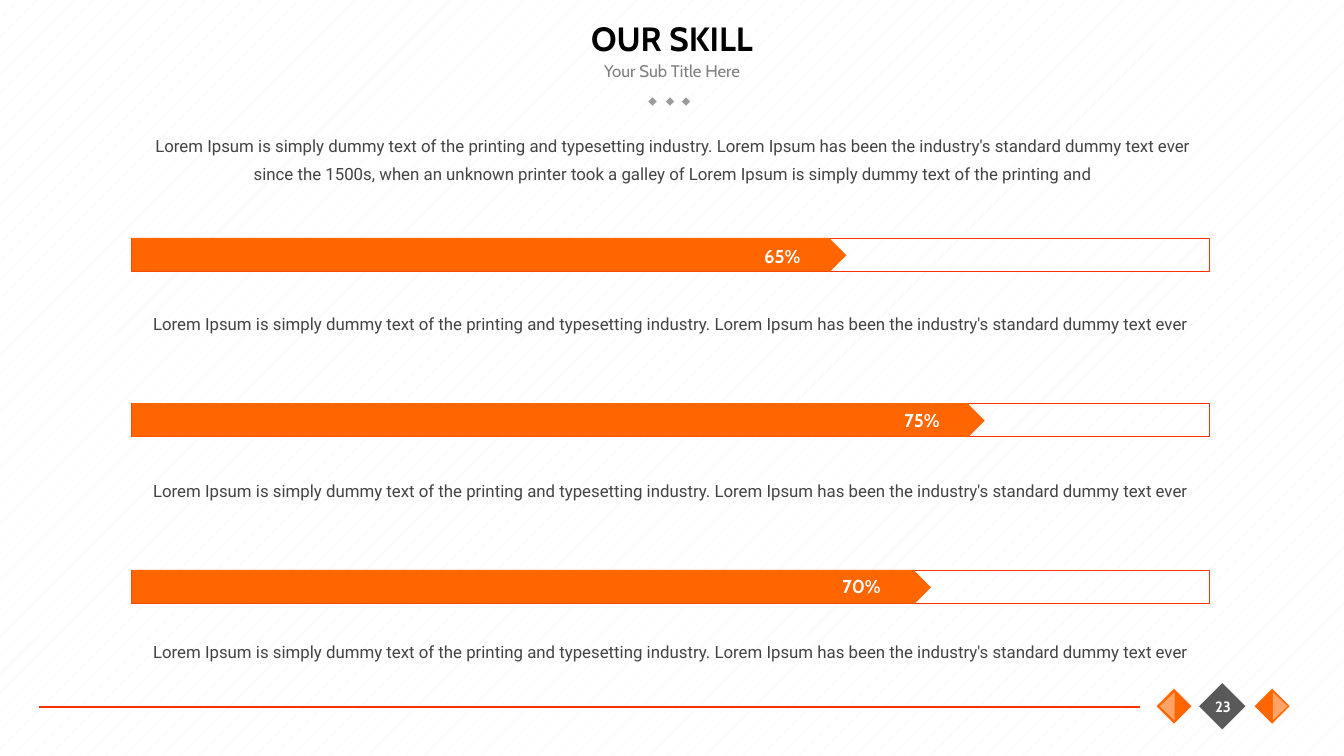
from dataclasses import dataclass

from lxml import etree
from pptx import Presentation
from pptx.dml.color import RGBColor
from pptx.enum.dml import MSO_PATTERN
from pptx.enum.shapes import MSO_CONNECTOR, MSO_SHAPE
from pptx.enum.text import MSO_ANCHOR, MSO_AUTO_SIZE, PP_ALIGN
from pptx.oxml.ns import qn
from pptx.util import Inches, Pt

RECTANGLE = MSO_SHAPE.RECTANGLE
RIGHT_TRIANGLE = MSO_SHAPE.RIGHT_TRIANGLE
TRIANGLE = MSO_SHAPE.FLOWCHART_EXTRACT
LEFT, CENTER = PP_ALIGN.LEFT, PP_ALIGN.CENTER
TOP, MIDDLE = MSO_ANCHOR.TOP, MSO_ANCHOR.MIDDLE


@dataclass(frozen=True)
class Theme:
    heading_font: str = "Cabin"
    body_font: str = "Roboto"
    title_size: float = 18
    body_size: float = 9
    percent_size: float = 10
    number_size: float = 8
    body_leading: float = 15
    hairline: float = 0.25
    rule_width: float = 0.75
    white: str = "FFFFFF"
    black: str = "000000"
    pattern: str = "F2F2F2"
    body: str = "434343"
    subtitle: str = "808080"
    dots: str = "9B9B9B"
    badge: str = "595959"
    orange: str = "FF6600"
    light_orange: str = "FFA366"
    outline: str = "FF3300"
    rule: str = "F93200"


THEME = Theme()
SLIDE_WIDTH = 10
SLIDE_HEIGHT = SLIDE_WIDTH * 9 / 16
SENTENCE = (
    "Lorem Ipsum is simply dummy text of the printing and typesetting industry. "
    "Lorem Ipsum has been the industry's standard dummy text ever"
)
INTRO = SENTENCE + (
    " since the 1500s, when an unknown printer took a galley of "
    "Lorem Ipsum is simply dummy text of the printing and"
)
# Percent label, bar top, filled width, label left, label top, caption top
SKILLS = [
    ("65%", 1.77, 5.2, 5.46, 1.77, 2.23),
    ("75%", 3.0, 6.23, 6.5, 2.99, 3.47),
    ("70%", 4.24, 5.83, 6.05, 4.23, 4.67),
]
BAR_LEFT, BAR_WIDTH, BAR_HEIGHT = 0.98, 8.02, 0.25
TIP_SIZE = 0.18
TEXT_LEFT, TEXT_WIDTH = 1.04, 7.92
FOOTER_Y = 5.26


def rgb(color):
    return RGBColor.from_string(color)


def add_text(slide, text, left, top, width, height, *, size, color,
             font=THEME.heading_font, bold=False, align=CENTER,
             anchor=TOP, leading=None, grow=False):
    box = slide.shapes.add_textbox(
        Inches(left), Inches(top), Inches(width), Inches(height))
    frame = box.text_frame
    frame.word_wrap = True
    frame.vertical_anchor = anchor
    if grow:
        frame.auto_size = MSO_AUTO_SIZE.SHAPE_TO_FIT_TEXT
    para = frame.paragraphs[0]
    para.alignment = align
    if leading:
        para.line_spacing = Pt(leading)
    span = para.add_run()
    span.text = text
    span.font.name = font
    span.font.size = Pt(size)
    span.font.bold = bold
    span.font.color.rgb = rgb(color)


def add_body(slide, text, top, height, align=LEFT):
    add_text(slide, text, TEXT_LEFT, top, TEXT_WIDTH, height,
             size=THEME.body_size, color=THEME.body, font=THEME.body_font,
             align=align, leading=THEME.body_leading, grow=True)


def add_block(slide, kind, left, top, width, height, *,
              fill=None, line=None, rotation=0):
    block = slide.shapes.add_shape(
        kind, Inches(left), Inches(top), Inches(width), Inches(height))
    block.shadow.inherit = False
    block.rotation = rotation
    if fill:
        block.fill.solid()
        block.fill.fore_color.rgb = rgb(fill)
    else:
        block.fill.background()
    if line:
        block.line.color.rgb = rgb(line)
        block.line.width = Pt(THEME.hairline)
    else:
        block.line.fill.background()


def add_diamond(slide, left, top, side, fill):
    add_block(slide, RECTANGLE, left, top, side, side,
              fill=fill, line=THEME.white, rotation=315)


def add_rule(slide, left, right, y):
    rule = slide.shapes.add_connector(
        MSO_CONNECTOR.STRAIGHT, Inches(left), Inches(y), Inches(right), Inches(y))
    rule.line.color.rgb = rgb(THEME.rule)
    rule.line.width = Pt(THEME.rule_width)
    etree.SubElement(rule.element.spPr, qn("a:effectLst"))


def add_header(slide):
    for left in (4.83, 4.96, 5.08):
        add_diamond(slide, left, 0.73, 0.05, THEME.dots)
    add_text(slide, "Your Sub Title Here", 3.75, 0.4, 2.5, 0.25,
             size=THEME.body_size, color=THEME.subtitle, anchor=MIDDLE)
    add_text(slide, "OUR SKILL", 0.75, 0, 8.5, 0.56, size=THEME.title_size,
             color=THEME.black, bold=True, anchor=MIDDLE)


def add_footer(slide):
    add_rule(slide, 0.29, 8.48, FOOTER_Y)
    add_diamond(slide, 8.97, 5.13, 0.25, THEME.badge)
    for diamond_left, half_left, rotation in ((9.37, 9.42, 90), (8.64, 8.58, 270)):
        add_diamond(slide, diamond_left, 5.16, 0.19, THEME.orange)
        add_block(slide, TRIANGLE, half_left, 5.2, 0.21, 0.11,
                  fill=THEME.light_orange, rotation=rotation)
    add_text(slide, "23", 8.89, 5.13, 0.42, 0.25, size=THEME.number_size,
             color=THEME.white, bold=True, anchor=MIDDLE)


def add_skill(slide, percent, top, filled, label_left, label_top, caption_top):
    """Add a progress bar with an arrow tip, its percentage and its caption."""
    add_block(slide, RECTANGLE, BAR_LEFT, top, BAR_WIDTH, BAR_HEIGHT,
              line=THEME.outline)
    add_block(slide, RECTANGLE, BAR_LEFT, top, filled, BAR_HEIGHT,
              fill=THEME.orange)
    add_block(slide, RIGHT_TRIANGLE, BAR_LEFT + filled - 0.1, top + 0.04,
              TIP_SIZE, TIP_SIZE, fill=THEME.orange, rotation=225)
    add_text(slide, percent, label_left, label_top, 0.72, 0.27,
             size=THEME.percent_size, color=THEME.white, bold=True, grow=True)
    add_body(slide, SENTENCE, caption_top, 0.29)


def set_background(slide):
    fill = slide.background.fill
    fill.patterned()
    fill.pattern = MSO_PATTERN.PERCENT_5
    fill.fore_color.rgb = rgb(THEME.pattern)
    fill.back_color.rgb = rgb(THEME.white)


def main():
    deck = Presentation()
    deck.slide_width, deck.slide_height = Inches(SLIDE_WIDTH), Inches(SLIDE_HEIGHT)
    slide = deck.slides.add_slide(deck.slide_layouts[6])
    set_background(slide)
    add_header(slide)
    add_footer(slide)
    add_body(slide, INTRO, 0.9, 0.52, align=CENTER)
    for skill in SKILLS:
        add_skill(slide, *skill)
    deck.save("out.pptx")


if __name__ == "__main__":
    main()
